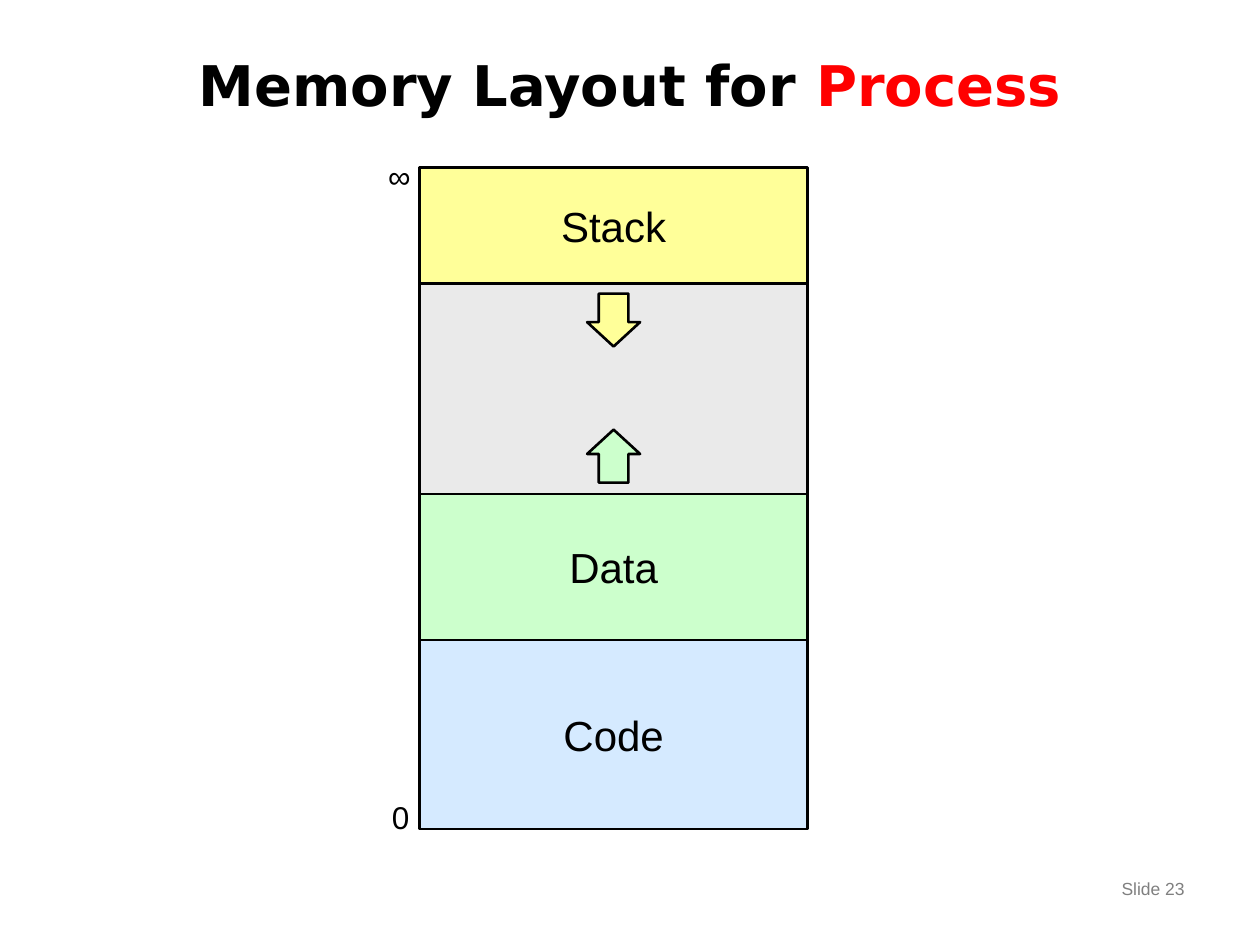
from dataclasses import dataclass

from pptx import Presentation
from pptx.dml.color import RGBColor
from pptx.enum.shapes import MSO_SHAPE
from pptx.enum.text import MSO_ANCHOR, MSO_AUTO_SIZE, PP_ALIGN
from pptx.util import Inches, Pt

RECT, DOWN, UP = MSO_SHAPE.RECTANGLE, MSO_SHAPE.DOWN_ARROW, MSO_SHAPE.UP_ARROW
LEFT, CENTER, RIGHT = PP_ALIGN.LEFT, PP_ALIGN.CENTER, PP_ALIGN.RIGHT
MIDDLE = MSO_ANCHOR.MIDDLE
NO_FIT = MSO_AUTO_SIZE.NONE

BLACK = RGBColor(0x00, 0x00, 0x00)
RED = RGBColor(0xFF, 0x00, 0x00)
GRAY = RGBColor(0x80, 0x80, 0x80)
FREE_GRAY = RGBColor(0xEA, 0xEA, 0xEA)
CODE_BLUE = RGBColor(0xD5, 0xEA, 0xFF)
DATA_GREEN = RGBColor(0xCC, 0xFF, 0xCC)
STACK_YELLOW = RGBColor(0xFF, 0xFF, 0x99)

MEMORY_LEFT, MEMORY_TOP, MEMORY_WIDTH = 3.33, 1.33, 3.08
ARROW_SIZE = 0.42
ARROW_LEFT = MEMORY_LEFT + (MEMORY_WIDTH - ARROW_SIZE) / 2


@dataclass
class Segment:
    text: str
    height: float
    fill: RGBColor


@dataclass
class Arrow:
    kind: int
    top: float
    fill: RGBColor


@dataclass
class Label:
    text: str
    left: float
    top: float
    width: float
    height: float
    size: int
    color: RGBColor = BLACK
    align: int = LEFT
    margin_x: float = 0
    margin_y: float = 0


SEGMENTS = [
    Segment("Stack", 0.92, STACK_YELLOW),
    Segment("", 1.67, FREE_GRAY),
    Segment("Data", 1.16, DATA_GREEN),
    Segment("Code", 1.5, CODE_BLUE),
]
ARROWS = [Arrow(DOWN, 2.33, STACK_YELLOW), Arrow(UP, 3.41, DATA_GREEN)]
LABELS = [
    Label("∞", 3.08, 1.25, 0.18, 0.3, 18),
    Label("0", 3.11, 6.33, 0.14, 0.3, 18),
    Label("Slide 23", 7.17, 6.92, 2.33, 0.43, 10, GRAY, RIGHT, 0.1, 0.05),
]


def add_run(p, text: str, size: int, color: RGBColor, name: str = "Arial", bold: bool = False) -> None:
    r = p.add_run()
    r.text = text
    for key, value in {"size": Pt(size), "name": name, "bold": bold}.items():
        setattr(r.font, key, value)
    r.font.color.rgb = color


def add_outlined(s, kind: int, box: tuple[float, ...], fill: RGBColor):
    sp = s.shapes.add_shape(kind, *map(Inches, box))
    sp.shadow.inherit = False
    sp.fill.solid()
    sp.fill.fore_color.rgb = fill
    sp.line.color.rgb = BLACK
    sp.line.width = Pt(1.5)
    return sp


def add_title(s) -> None:
    sp = s.shapes.title
    sp.left, sp.top, sp.width, sp.height = map(Inches, (0.5, 0.33, 9, 0.67))
    tf = sp.text_frame
    tf.auto_size, tf.vertical_anchor = NO_FIT, MIDDLE
    p = tf.paragraphs[0]
    p.alignment = CENTER
    for text, color in (("Memory Layout for ", BLACK), ("Process", RED)):
        add_run(p, text, 32, color, "DejaVu Sans", True)


def add_segments(s, segments: list[Segment]) -> None:
    """Stack the memory segments downwards without gaps."""
    top = MEMORY_TOP
    for segment in segments:
        box = (MEMORY_LEFT, top, MEMORY_WIDTH, segment.height)
        sp = add_outlined(s, RECT, box, segment.fill)
        if segment.text:
            tf = sp.text_frame
            tf.word_wrap, tf.vertical_anchor = False, MIDDLE
            p = tf.paragraphs[0]
            p.alignment = CENTER
            add_run(p, segment.text, 24, BLACK)
        top += segment.height


def add_arrow(s, arrow: Arrow) -> None:
    sp = add_outlined(s, arrow.kind, (ARROW_LEFT, arrow.top, ARROW_SIZE, ARROW_SIZE), arrow.fill)
    sp.adjustments[0], sp.adjustments[1] = 0.56, 0.46


def add_label(s, label: Label) -> None:
    box = (label.left, label.top, label.width, label.height)
    tf = s.shapes.add_textbox(*map(Inches, box)).text_frame
    tf.word_wrap = label.margin_x > 0
    tf.margin_left = tf.margin_right = Inches(label.margin_x)
    tf.margin_top = tf.margin_bottom = Inches(label.margin_y)
    p = tf.paragraphs[0]
    p.alignment = label.align
    add_run(p, label.text, label.size, label.color)


def main() -> None:
    prs = Presentation()
    prs.slide_width, prs.slide_height = Inches(10), Inches(7.5)
    s = prs.slides.add_slide(prs.slide_layouts[5])
    add_title(s)
    add_segments(s, SEGMENTS)
    for arrow in ARROWS:
        add_arrow(s, arrow)
    for label in LABELS:
        add_label(s, label)
    prs.save("out.pptx")


if __name__ == "__main__":
    main()
